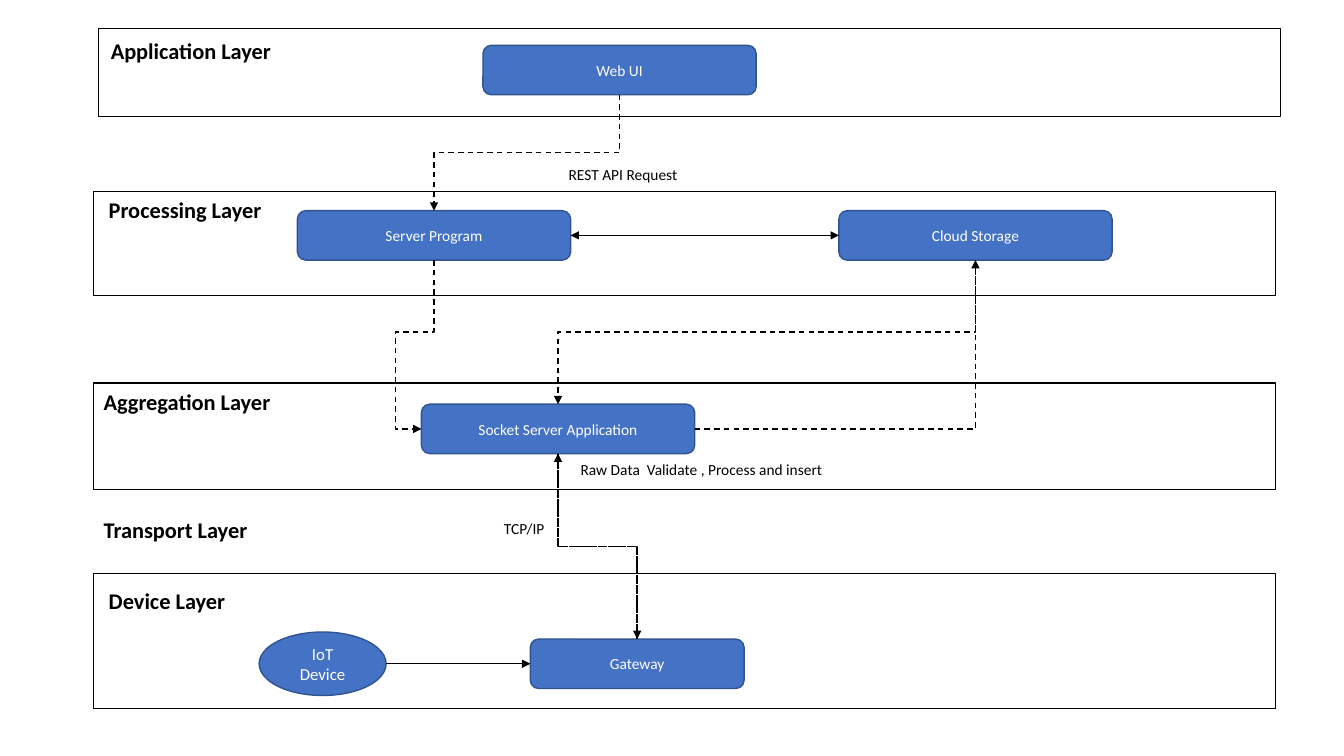
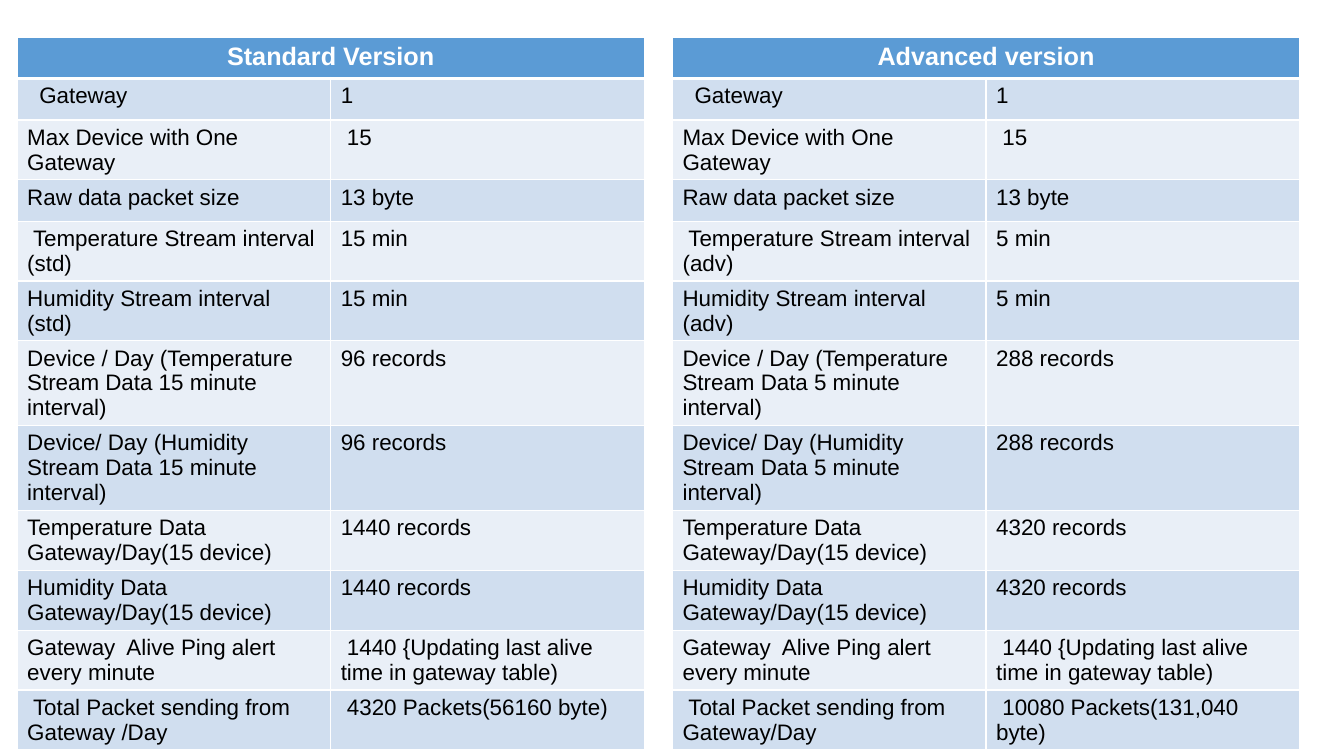
import pptx
import pptx.util
import pptx.dml.color
import pptx.enum.dml
import pptx.enum.shapes
import pptx.enum.text
import pptx.oxml
import pptx.oxml.ns

RGB = pptx.dml.color.RGBColor
SHAPE = pptx.enum.shapes.MSO_SHAPE
CONNECTOR = pptx.enum.shapes.MSO_CONNECTOR
ALIGN = pptx.enum.text.PP_ALIGN
ANCHOR = pptx.enum.text.MSO_ANCHOR
Pt = pptx.util.Pt
qn = pptx.oxml.ns.qn

# Shared colours and text formats
BLACK = RGB(0x00, 0x00, 0x00)
WHITE = RGB(0xFF, 0xFF, 0xFF)
NODE_BLUE = RGB(0x44, 0x72, 0xC4)
NODE_EDGE = RGB(0x31, 0x53, 0x8F)
HEADER_BLUE = RGB(0x5B, 0x9B, 0xD5)
BAND_FILLS = [RGB(0xE9, 0xEF, 0xF7), RGB(0xD0, 0xDE, 0xEF)]

LAYER_TEXT = {"name": "Calibri", "size": Pt(16), "bold": True}
NOTE_TEXT = {"name": "Calibri", "size": Pt(11), "bold": False}
NODE_TEXT = NOTE_TEXT
OVAL_TEXT = {**NOTE_TEXT, "size": Pt(12)}
HEADER_TEXT = {"name": "Arial", "size": Pt(18), "bold": True}
CELL_TEXT = {"name": "Arial", "size": Pt(16), "bold": False}

EMU_PER_PX = 9144  # 100 px to the inch
SLIDE_W, SLIDE_H = 1333, 750

# Slide 1 content: boxes as left, top, width, height
LAYER_BOXES = [
    (93, 569, 1172, 134),
    (93, 380, 1172, 106),
    (93, 190, 1172, 103),
    (98, 28, 1172, 88),
]
LABELS = [
    ("Application Layer", LAYER_TEXT, (100, 32, 189, 37)),
    ("Processing Layer", LAYER_TEXT, (98, 190, 189, 37)),
    ("Aggregation Layer", LAYER_TEXT, (93, 380, 189, 37)),
    ("Transport Layer", LAYER_TEXT, (93, 507, 189, 37)),
    ("Device Layer", LAYER_TEXT, (98, 578, 189, 37)),
    ("REST API Request", NOTE_TEXT, (554, 159, 189, 29)),
    ("Raw Data  Validate , Process and insert", NOTE_TEXT, (566, 452, 285, 29)),
    ("TCP/IP", NOTE_TEXT, (490, 510, 189, 29)),
]
NODES = {
    "Web UI": (479, 45, 271, 49),
    "Server Program": (295, 209, 271, 49),
    "Cloud Storage": (832, 209, 271, 49),
    "Socket Server Application": (418, 401, 271, 49),
    "Gateway": (526, 634, 212, 49),
}
IOT_DEVICE = ("IoT Device", (257, 627, 126, 63))

TOP, LEFT, BOTTOM, RIGHT = range(4)
# Dashed links: from, side, to, side, preset, bend positions
BENT_LINKS = [
    ("Gateway", TOP, "Socket Server Application", BOTTOM, "bentConnector3", [50000]),
    ("Cloud Storage", BOTTOM, "Socket Server Application", TOP, "bentConnector3", [50000]),
    ("Socket Server Application", RIGHT, "Cloud Storage", BOTTOM, "bentConnector2", []),
    ("Server Program", BOTTOM, "Socket Server Application", LEFT,
     "bentConnector4", [42600, 305400]),
    ("Socket Server Application", BOTTOM, "Gateway", TOP, "bentConnector3", [50000]),
    ("Web UI", BOTTOM, "Server Program", TOP, "bentConnector3", [50000]),
]

# Slide 2 content: row labels with gaps, and the values of each version
ROW_LABELS = [
    "Gateway",
    "Max Device with One Gateway",
    "Raw data packet size",
    " Temperature Stream interval ({tag})",
    "Humidity Stream interval ({tag})",
    "Device / Day (Temperature Stream Data {minutes} minute interval)",
    "Device/ Day (Humidity Stream Data {minutes} minute interval)",
    "Temperature Data Gateway/Day(15 device)",
    "Humidity Data Gateway/Day(15 device)",
    "Gateway  Alive Ping alert every minute",
    " Total Packet sending from {per_day}",
]
ROW_VALUES = [
    "1", " 15", "13 byte",
    "{minutes} min", "{minutes} min",
    "{device} records", "{device} records",
    "{gateway} records", "{gateway} records",
    " 1440 {{Updating last alive time in gateway table)",
    " {total}",
]
VERSIONS = [
    {"title": "Standard Version", "tag": "std", "minutes": 15, "device": 96,
     "gateway": 1440, "per_day": "Gateway /Day", "total": "4320 Packets(56160 byte)"},
    {"title": "Advanced version", "tag": "adv", "minutes": 5, "device": 288,
     "gateway": 4320, "per_day": "Gateway/Day", "total": "10080 Packets(131,040 byte)"},
]
TABLE_LEFT, TABLE_TOP, TABLE_STEP = 17, 37, 650
COLUMN_W, ROW_H, GATEWAY_INDENT = 311, 41, 22


def px(length):
    return pptx.util.Emu(round(length * EMU_PER_PX))


def write(frame, text, text_format, color, align=ALIGN.LEFT):
    paragraph = frame.paragraphs[0]
    paragraph.alignment = align
    run = paragraph.add_run()
    run.text = text
    for attribute, value in text_format.items():
        setattr(run.font, attribute, value)
    run.font.color.rgb = color


def add_box(slide, kind, box, edge, width, fill=None):
    shape = slide.shapes.add_shape(kind, *map(px, box))
    shape.shadow.inherit = False
    if fill is None:
        shape.fill.background()
    else:
        shape.fill.solid()
        shape.fill.fore_color.rgb = fill
    shape.line.color.rgb = edge
    shape.line.width = Pt(width)
    return shape


def add_node(slide, kind, text, box, text_format):
    node = add_box(slide, kind, box, NODE_EDGE, 1, NODE_BLUE)
    node.text_frame.word_wrap = True
    node.text_frame.vertical_anchor = ANCHOR.MIDDLE
    write(node.text_frame, text, text_format, WHITE, ALIGN.CENTER)
    return node


def add_label(slide, text, text_format, box):
    frame = slide.shapes.add_textbox(*map(px, box)).text_frame
    frame.word_wrap = True
    write(frame, text, text_format, BLACK)


def style_link(link, width, arrows, dashed=False):
    link.line.color.rgb = BLACK
    link.line.width = Pt(width)
    if dashed:
        link.line.dash_style = pptx.enum.dml.MSO_LINE.DASH
    outline = link.element.spPr.find(qn("a:ln"))
    for end in arrows:
        arrow = pptx.oxml.parse_xml(f'<a:{end} {pptx.oxml.ns.nsdecls("a")} type="triangle"/>')
        outline.append(arrow)
    link.element.spPr.append(
        pptx.oxml.parse_xml(f'<a:effectLst {pptx.oxml.ns.nsdecls("a")}/>'))


def add_bent_link(slide, start, start_side, end, end_side, preset, bends):
    link = slide.shapes.add_connector(CONNECTOR.ELBOW, 0, 0, 0, 0)
    link.begin_connect(start, start_side)
    link.end_connect(end, end_side)
    geometry = link.element.spPr.find(qn("a:prstGeom"))
    geometry.set("prst", preset)
    guides = geometry.find(qn("a:avLst"))
    if guides is None:
        guides = pptx.oxml.parse_xml(f'<a:avLst {pptx.oxml.ns.nsdecls("a")}/>')
        geometry.append(guides)
    for number, bend in enumerate(bends, 1):
        guides.append(pptx.oxml.parse_xml(
            f'<a:gd {pptx.oxml.ns.nsdecls("a")} name="adj{number}" fmla="val {bend}"/>'))
    if start_side in (TOP, BOTTOM):
        turn_upright(link)
    style_link(link, 1, ["tailEnd"], dashed=True)


def turn_upright(link):
    """Turn a link by a quarter so that it leaves vertically."""
    leftward = link.end_x < link.begin_x
    downward = link.end_y > link.begin_y
    across, along = link.width, link.height
    center_x, center_y = link.left + across // 2, link.top + along // 2
    link.left, link.top = center_x - along // 2, center_y - across // 2
    link.width, link.height = along, across
    frame = link.element.spPr.find(qn("a:xfrm"))
    for flip in ("flipH", "flipV"):
        frame.attrib.pop(flip, None)
    frame.set("rot", str((90 if leftward else 270) * 60000))
    if leftward != downward:
        frame.set("flipH", "1")


def build_architecture(slide):
    for box in LAYER_BOXES:
        add_box(slide, SHAPE.RECTANGLE, box, BLACK, 0.75)
    nodes = {text: add_node(slide, SHAPE.ROUNDED_RECTANGLE, text, box, NODE_TEXT)
             for text, box in NODES.items()}
    iot_text, iot_box = IOT_DEVICE
    iot = add_node(slide, SHAPE.OVAL, iot_text, iot_box, OVAL_TEXT)

    # Links
    for start, start_side, end, end_side, preset, bends in BENT_LINKS:
        add_bent_link(slide, nodes[start], start_side, nodes[end], end_side, preset, bends)
    sync = slide.shapes.add_connector(CONNECTOR.STRAIGHT, 0, 0, 0, 0)
    sync.begin_connect(nodes["Server Program"], RIGHT)
    sync.end_connect(nodes["Cloud Storage"], LEFT)
    style_link(sync, 0.75, ["headEnd", "tailEnd"])
    iot_y = iot.top + iot.height // 2
    uplink = slide.shapes.add_connector(
        CONNECTOR.STRAIGHT, iot.left + iot.width, iot_y, iot.left + iot.width, iot_y)
    uplink.end_connect(nodes["Gateway"], LEFT)
    style_link(uplink, 0.75, ["tailEnd"])

    for label in LABELS:
        add_label(slide, *label)


def format_cell(cell, row, fill):
    # The rule under the header is thicker than the others
    widths = {"lnL": 1, "lnR": 1, "lnT": 3 if row == 1 else 1, "lnB": 3 if row == 0 else 1}
    properties = cell._tc.get_or_add_tcPr()
    for edge, width in widths.items():
        properties.append(pptx.oxml.parse_xml(
            f'<a:{edge} {pptx.oxml.ns.nsdecls("a")} w="{Pt(width)}"><a:solidFill>'
            f'<a:srgbClr val="{WHITE}"/></a:solidFill></a:{edge}>'))
    cell.fill.solid()
    cell.fill.fore_color.rgb = fill


def add_version_table(slide, left, version):
    rows = len(ROW_LABELS) + 1
    table = slide.shapes.add_table(
        rows, 2, px(left), px(TABLE_TOP), px(2 * COLUMN_W), px(rows * ROW_H)).table
    for column in table.columns:
        column.width = px(COLUMN_W)
    for row in table.rows:
        row.height = px(ROW_H)
    table.cell(0, 0).merge(table.cell(0, 1))
    for column in range(2):
        format_cell(table.cell(0, column), 0, HEADER_BLUE)
    write(table.cell(0, 0).text_frame, version["title"], HEADER_TEXT, WHITE, ALIGN.CENTER)
    for row, texts in enumerate(zip(ROW_LABELS, ROW_VALUES), 1):
        for column, text in enumerate(texts):
            cell = table.cell(row, column)
            format_cell(cell, row, BAND_FILLS[row % 2])
            write(cell.text_frame, text.format(**version), CELL_TEXT, BLACK)
    table.cell(1, 0).margin_left = px(GATEWAY_INDENT)


def main():
    deck = pptx.Presentation()
    deck.slide_width, deck.slide_height = px(SLIDE_W), px(SLIDE_H)
    blank = deck.slide_layouts[6]
    build_architecture(deck.slides.add_slide(blank))
    versions_slide = deck.slides.add_slide(blank)
    for number, version in enumerate(VERSIONS):
        add_version_table(versions_slide, TABLE_LEFT + number * TABLE_STEP, version)
    deck.save("out.pptx")


if __name__ == "__main__":
    main()
